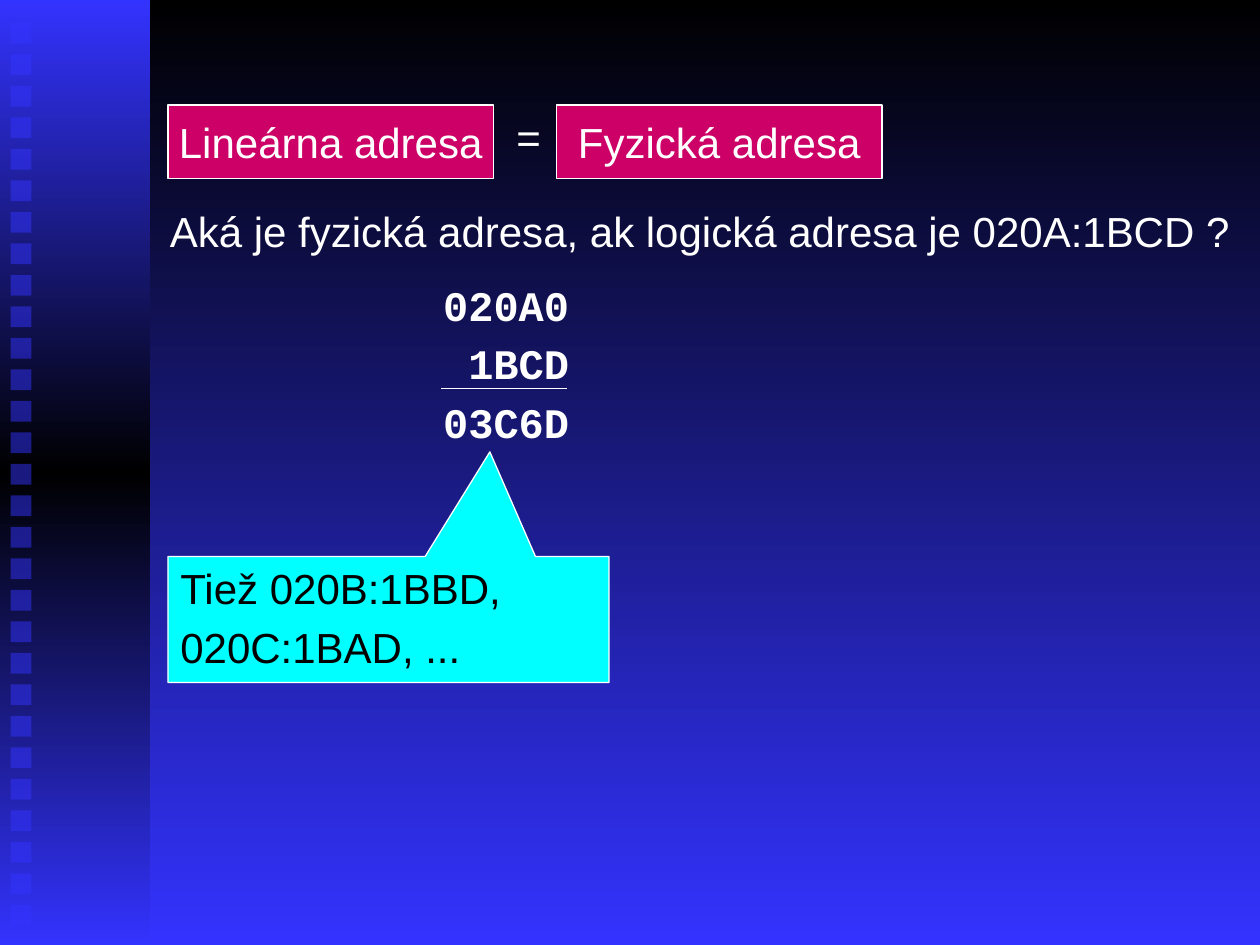
from copy import deepcopy

from lxml import etree
from pptx import Presentation
from pptx import util as u
from pptx.dml import color
from pptx.enum import shapes, text
from pptx.oxml import ns

WHITE = "FFFFFF"
BLUE = "3333FF"
BLACK = "000000"


def rgb(value):
    return color.RGBColor.from_string(value)


def points(*values):
    return [u.Pt(value) for value in values]


def set_gradient(fill, element, colors):
    fill.gradient()
    fill.gradient_angle = 270
    stop_list = next(element.iter(ns.qn("a:gsLst")))
    while len(stop_list) < len(colors):
        stop_list.append(deepcopy(stop_list[0]))
    for index, (stop, value) in enumerate(zip(fill.gradient_stops, colors)):
        stop.color.rgb = rgb(value)
        stop.position = index / (len(colors) - 1)


def write(shape, lines, font="Arial", size=24, ink=WHITE, bold=False,
          align=text.PP_ALIGN.LEFT, anchor=text.MSO_ANCHOR.TOP,
          wrap=True, gap=4.8, insets=(7.2, 3.6, 7.2, 3.6)):
    frame = shape.text_frame
    frame.word_wrap = wrap
    frame.vertical_anchor = anchor
    (frame.margin_left, frame.margin_top,
     frame.margin_right, frame.margin_bottom) = points(*insets)
    for index, line in enumerate(lines):
        paragraph = frame.add_paragraph() if index else frame.paragraphs[0]
        paragraph.alignment = align
        if index:
            paragraph.space_before = u.Pt(gap)
        run = paragraph.add_run()
        run.text = line
        run.font.name = font
        run.font.size = u.Pt(size)
        run.font.bold = bold
        run.font.color.rgb = rgb(ink)


def add_box(parent, kind, box, fill=None, line=None):
    shape = parent.add_shape(kind, *points(*box))
    shape.shadow.inherit = False
    if fill:
        shape.fill.solid()
        shape.fill.fore_color.rgb = rgb(fill)
    if line:
        shape.line.color.rgb = rgb(line)
        shape.line.width = u.Pt(0.75)
    else:
        shape.line.fill.background()
    return shape


def add_text(parent, box, lines, **style):
    shape = parent.add_textbox(*points(*box))
    write(shape, lines, **style)


def add_sidebar(slide, left, top, width, height):
    group = slide.shapes.add_group_shape().shapes
    rectangle = shapes.MSO_SHAPE.RECTANGLE
    band = add_box(group, rectangle, (left, top, width, height))
    set_gradient(band.fill, band.element, (BLUE, BLACK, BLUE))
    for index in range(29):
        box = (left + 6, top + 13 + 18 * index, 12, 12)
        square = add_box(group, rectangle, box, BLUE)
        tint = next(square.element.spPr.iter(ns.qn("a:srgbClr")))
        etree.SubElement(tint, ns.qn("a:alpha"), val="50000")


def add_equation(slide, left, top, width, height):
    box_width = 186
    sides = (("Lineárna adresa", left),
             ("Fyzická adresa", left + width - box_width))
    for label, x in sides:
        shape = add_box(slide.shapes, shapes.MSO_SHAPE.RECTANGLE,
                        (x, top, box_width, height), "CC0066", WHITE)
        write(shape, [label], align=text.PP_ALIGN.CENTER, wrap=False,
              anchor=text.MSO_ANCHOR.MIDDLE)
    add_text(slide.shapes, (left + 192, top, 54, 36), ["="])


def add_sum(slide, left, top, width, height):
    group = slide.shapes.add_group_shape().shapes
    add_text(group, (left, top, width, height), ["020A0", "1BCD", "03C6D"],
             font="Courier New", bold=True, align=text.PP_ALIGN.RIGHT,
             insets=(0, 3.6, width - 79.2, 3.6))
    rule = group.add_connector(
        shapes.MSO_CONNECTOR.STRAIGHT,
        *points(left + 6, top + 66, left + 78, top + 66))
    rule.line.color.rgb = rgb(WHITE)
    rule.line.width = u.Pt(0.75)
    etree.SubElement(rule.element.spPr, ns.qn("a:effectLst"))


def add_callout(slide, left, top, width, height):
    callout = add_box(slide.shapes, shapes.MSO_SHAPE.RECTANGULAR_CALLOUT,
                      (left, top, width, height), "00FFFF", WHITE)
    callout.adjustments[0] = 0.23
    callout.adjustments[1] = -1.33
    write(callout, ["Tiež 020B:1BBD,", "020C:1BAD, ..."], ink=BLACK)


def main():
    presentation = Presentation()
    presentation.slide_width, presentation.slide_height = points(720, 540)
    slide = presentation.slides.add_slide(presentation.slide_layouts[6])
    set_gradient(slide.background.fill, slide.element, (BLACK, BLUE))
    add_sidebar(slide, 0, 0, 86, 540)
    add_text(slide.shapes, (90, 114, 630, 36),
             ["Aká je fyzická adresa, ak logická adresa je 020A:1BCD ?"])
    add_sum(slide, 246, 156, 114, 105)
    add_callout(slide, 96, 318, 252, 72)
    add_equation(slide, 96, 60, 408, 42)
    presentation.save("out.pptx")


if __name__ == "__main__":
    main()
